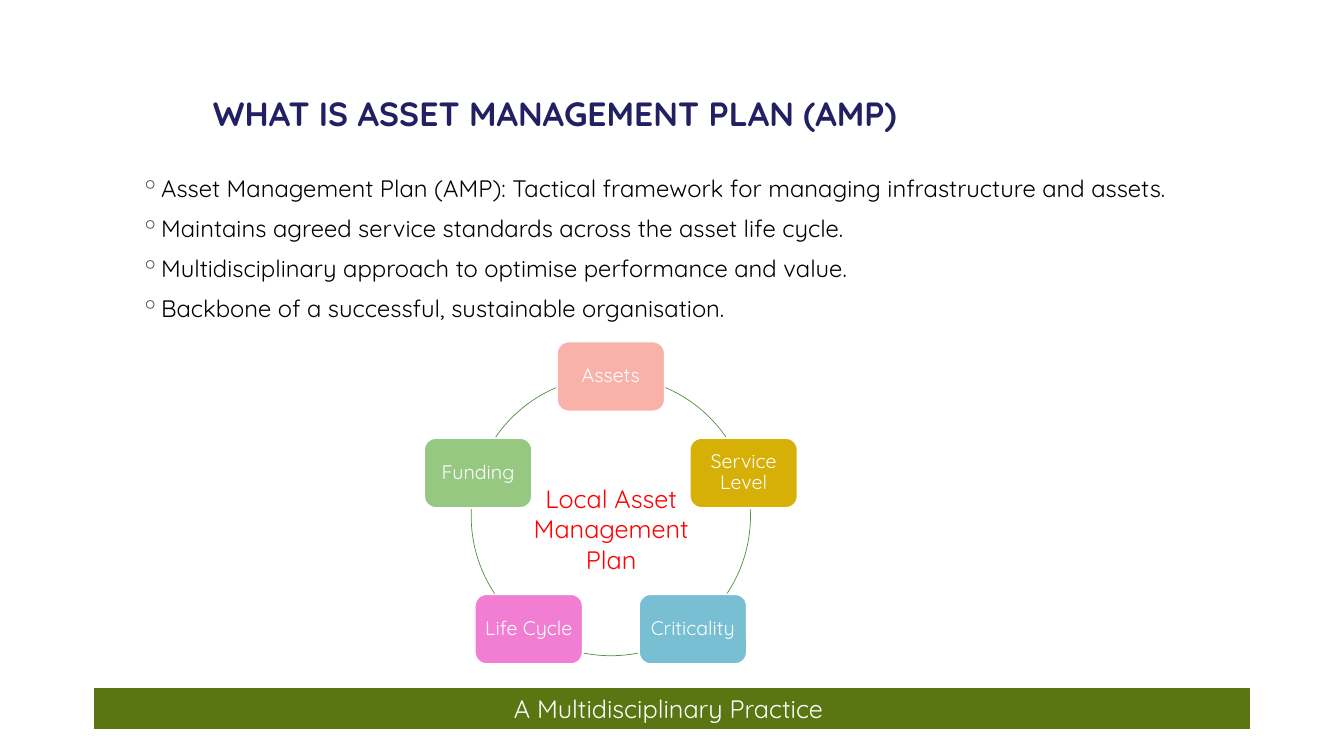
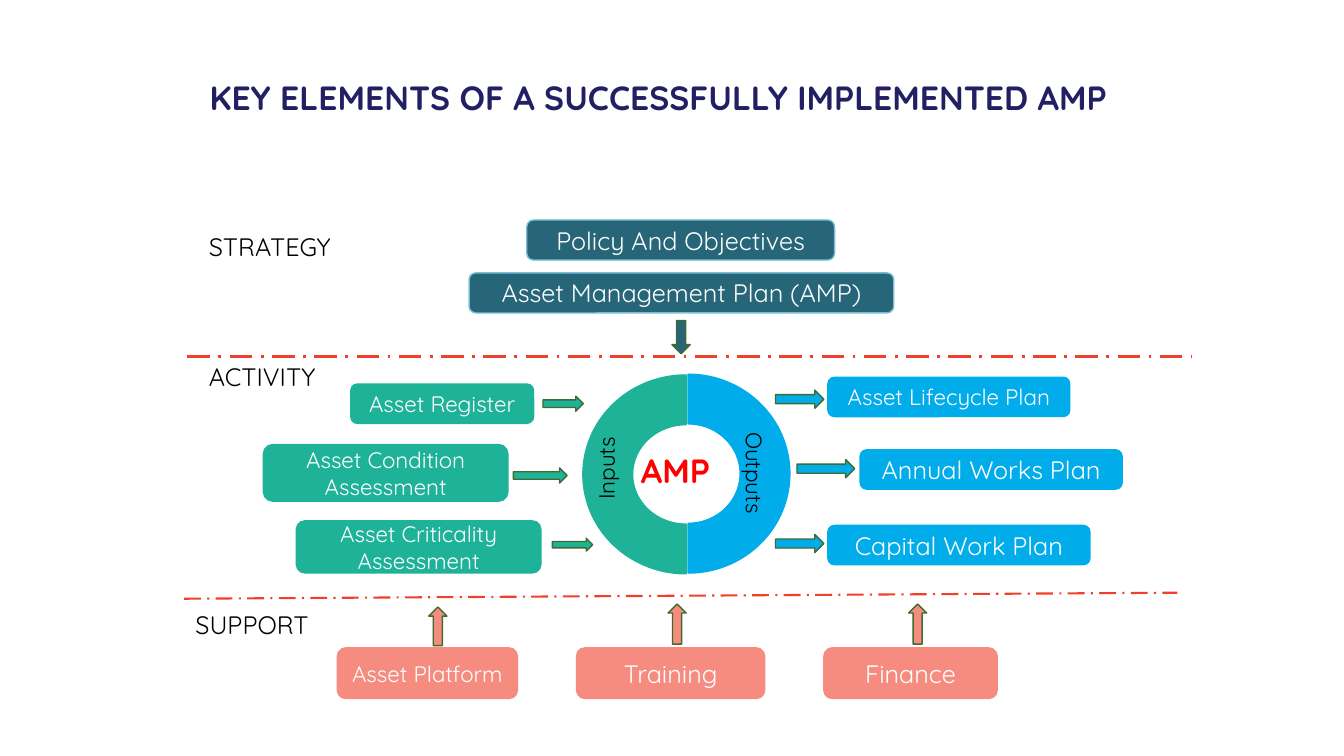
"""Build two slides about asset management plans."""
from dataclasses import dataclass
from math import cos, radians, sin
from typing import NamedTuple, Optional

from lxml.etree import SubElement
from pptx import Presentation
from pptx.dml.color import RGBColor
from pptx.enum.dml import MSO_LINE
from pptx.enum.shapes import MSO_CONNECTOR, MSO_SHAPE
from pptx.enum.text import MSO_ANCHOR, PP_ALIGN
from pptx.oxml.ns import qn
from pptx.util import Inches, Pt

WIDTH, HEIGHT = Inches(13.33), Inches(7.5)
FONT = "Quicksand"
NAVY, BLACK, WHITE, RED = "221F63", "000000", "FFFFFF", "FF0000"
OLIVE, RING_GREEN, ARROW_EDGE = "597613", "57903F", "406B2F"
PETROL, SKY, TEAL, BLUE, SALMON = "276678", "78BFD3", "1EB299", "00ADEA", "F68C80"
DIVIDER_RED, BULLET_GREY = "F03F2B", "262626"


class Box(NamedTuple):
    """A place and size in percent of the slide."""

    left: float
    top: float
    width: float
    height: float


@dataclass(frozen=True)
class TextStyle:
    """How a text looks and sits in its frame."""

    size: float = 18
    color: str = BLACK
    bold: bool = False
    align: PP_ALIGN = PP_ALIGN.LEFT
    anchor: MSO_ANCHOR = MSO_ANCHOR.TOP
    line_spacing: float = 1.0
    space_before: float = 0
    bullet: str = ""
    margin: Optional[float] = None


@dataclass(frozen=True)
class Label:
    """A text with its place."""

    text: str
    box: Box
    style: TextStyle = TextStyle()
    rotation: float = 0


@dataclass(frozen=True)
class Card:
    """A rounded box with text."""

    text: str
    box: Box
    fill: str
    size: float = 18
    edge: str = ""


@dataclass(frozen=True)
class Arrow:
    """A block arrow."""

    kind: MSO_SHAPE
    box: Box
    fill: str


@dataclass(frozen=True)
class Divider:
    """A dashed line between two points."""

    start: tuple[float, float]
    end: tuple[float, float]
    weight: float


TITLE = TextStyle(24, NAVY, True, anchor=MSO_ANCHOR.MIDDLE, line_spacing=0.9)
BULLETS = TextStyle(17, space_before=8.25, bullet="◦")
BAND = TextStyle(color=WHITE, align=PP_ALIGN.CENTER)
NODE = TextStyle(14, WHITE, align=PP_ALIGN.CENTER, anchor=MSO_ANCHOR.MIDDLE,
                 line_spacing=0.9, margin=0.06)

BULLET_TEXT = "\n".join((
    "Asset Management Plan (AMP): Tactical framework for managing infrastructure and assets.",
    "Maintains agreed service standards across the asset life cycle.",
    "Multidisciplinary approach to optimise performance and value.",
    "Backbone of a successful, sustainable organisation.",
))
RING_CENTER = (45.45, 68.27)
RING_RADIUS = (10.39, 18.47)
NODE_SIZE = (8, 9.2)
RING_NODES = (("Assets", "F9B2AA"), ("Service Level", "D6AF07"), ("Criticality", SKY),
              ("Life Cycle", "F27ED4"), ("Funding", "96C881"))
RING_ARCS = ((22.9, 55.6), (87.1, 123.8), (168.8, 191.2), (236.2, 272.9), (304.4, 337.1))

DIVIDERS = (Divider((13.95, 47.2), (88.65, 47.2), 2),
            Divider((13.7, 79.2), (87.6, 78.4), 1.5))
SECTIONS = (("STRATEGY", 14.8, 30), ("ACTIVITY", 14.8, 47.2), ("SUPPORT", 13.8, 79.9))
CARDS = (
    Card("Policy And Objectives", Box(39.2, 29.1, 22.9, 5.3), PETROL, edge=SKY),
    Card("Asset Management Plan (AMP)", Box(34.9, 36.1, 31.6, 5.3), PETROL, edge=SKY),
    Card("Asset Register", Box(26.1, 50.8, 13.6, 5.2), TEAL, 16),
    Card("Asset Condition Assessment", Box(19.6, 58.8, 18.2, 7.5), TEAL, 16),
    Card("Asset Criticality\nAssessment", Box(22.05, 68.9, 18.2, 6.9), TEAL, 16),
    Card("Asset Lifecycle Plan", Box(61.6, 49.9, 18, 5.2), BLUE, 16),
    Card("Annual Works Plan", Box(64, 59.5, 19.5, 5.2), BLUE),
    Card("Capital Work Plan", Box(61.6, 69.5, 19.5, 5.2), BLUE),
    Card("Asset Platform", Box(25.1, 85.7, 13.4, 6.7), SALMON, 16),
    Card("Training", Box(42.9, 85.7, 14, 6.7), SALMON),
    Card("Finance", Box(61.3, 85.7, 12.9, 6.7), SALMON),
)
ARROWS = (
    Arrow(MSO_SHAPE.DOWN_ARROW, Box(50, 42.4, 1.35, 4.4), PETROL),
    Arrow(MSO_SHAPE.RIGHT_ARROW, Box(40.4, 52.4, 3, 2), TEAL),
    Arrow(MSO_SHAPE.RIGHT_ARROW, Box(38.2, 61.9, 4, 2), TEAL),
    Arrow(MSO_SHAPE.RIGHT_ARROW, Box(41.1, 71.2, 3, 1.7), TEAL),
    Arrow(MSO_SHAPE.RIGHT_ARROW, Box(57.7, 51.6, 3.6, 2.4), BLUE),
    Arrow(MSO_SHAPE.RIGHT_ARROW, Box(59.3, 60.8, 4.3, 2.4), BLUE),
    Arrow(MSO_SHAPE.RIGHT_ARROW, Box(57.7, 70.7, 3.6, 2.4), BLUE),
    Arrow(MSO_SHAPE.UP_ARROW, Box(31.9, 80.3, 1.35, 5.1), SALMON),
    Arrow(MSO_SHAPE.UP_ARROW, Box(49.7, 79.9, 1.35, 5.3), SALMON),
    Arrow(MSO_SHAPE.UP_ARROW, Box(67.6, 79.9, 1.35, 5.3), SALMON),
)
HALF_RINGS = ((Box(43.65, 49.1, 14.8, 27.3), 270, TEAL),
              (Box(43.8, 49.2, 14.8, 26.9), 90, BLUE))
RING_LABELS = (
    Label("Inputs", Box(41.9, 59.3, 6.4, 4.9), TextStyle(16), 270),
    Label("Outputs", Box(51.7, 61.3, 8.9, 4.9), TextStyle(16), 90),
    Label("AMP", Box(46.95, 58.8, 7.6, 6.7), TextStyle(24, RED, True)),
)


def rgb(value: str) -> RGBColor:
    """Turn a hex string into a colour."""
    return RGBColor.from_string(value)


def across(share: float) -> int:
    """Turn a percentage of the slide's width into a length."""
    return round(WIDTH * share / 100)


def down(share: float) -> int:
    """Turn a percentage of the slide's height into a length."""
    return round(HEIGHT * share / 100)


def place(box: Box) -> tuple[int, int, int, int]:
    """Turn a box into lengths."""
    return across(box.left), down(box.top), across(box.width), down(box.height)


def add_bullet(paragraph, character: str) -> None:
    """Give a paragraph a hanging bullet."""
    properties = paragraph._p.get_or_add_pPr()
    properties.set("marL", str(Inches(0.2)))
    properties.set("indent", str(-Inches(0.2)))
    color = SubElement(properties, qn("a:buClr"))
    SubElement(color, qn("a:srgbClr")).set("val", BULLET_GREY)
    SubElement(properties, qn("a:buChar")).set("char", character)


def write_text(shape, text: str, style: TextStyle) -> None:
    """Write each line of the text as a styled paragraph."""
    frame = shape.text_frame
    frame.word_wrap = True
    frame.vertical_anchor = style.anchor
    if style.margin is not None:
        frame.margin_left = frame.margin_right = Inches(style.margin)
        frame.margin_top = frame.margin_bottom = Inches(style.margin)
    for index, line in enumerate(text.split("\n")):
        paragraph = frame.add_paragraph() if index else frame.paragraphs[0]
        paragraph.alignment = style.align
        paragraph.line_spacing = style.line_spacing
        paragraph.space_before = Pt(style.space_before)
        if style.bullet:
            add_bullet(paragraph, style.bullet)
        run = paragraph.add_run()
        run.text = line
        run.font.name = FONT
        run.font.size = Pt(style.size)
        run.font.bold = style.bold
        run.font.color.rgb = rgb(style.color)


def add_label(slide, label: Label) -> None:
    """Add a text box."""
    shape = slide.shapes.add_textbox(*place(label.box))
    shape.rotation = label.rotation
    write_text(shape, label.text, label.style)


def add_figure(slide, kind: MSO_SHAPE, box: Box, fill: str, edge: str, weight: float = 1):
    """Add a preset shape; an empty fill leaves it open."""
    shape = slide.shapes.add_shape(kind, *place(box))
    shape.shadow.inherit = False
    if fill:
        shape.fill.solid()
        shape.fill.fore_color.rgb = rgb(fill)
    else:
        shape.fill.background()
    shape.line.color.rgb = rgb(edge)
    shape.line.width = Pt(weight)
    return shape


def add_card(slide, card: Card) -> None:
    """Add a rounded box with centred white text."""
    shape = add_figure(slide, MSO_SHAPE.ROUNDED_RECTANGLE, card.box, card.fill,
                       card.edge or card.fill)
    write_text(shape, card.text, TextStyle(card.size, WHITE, align=PP_ALIGN.CENTER,
                                           anchor=MSO_ANCHOR.MIDDLE))


def add_divider(slide, divider: Divider) -> None:
    """Add a dash-dot line."""
    (left, top), (right, bottom) = divider.start, divider.end
    line = slide.shapes.add_connector(MSO_CONNECTOR.STRAIGHT, across(left), down(top),
                                      across(right), down(bottom))
    line.line.color.rgb = rgb(DIVIDER_RED)
    line.line.width = Pt(divider.weight)
    line.line.dash_style = MSO_LINE.LONG_DASH_DOT
    SubElement(line._element.spPr, qn("a:effectLst"))


def add_ring(slide) -> None:
    """Add the nodes evenly round a circle, with arcs between them."""
    (center_x, center_y), (radius_x, radius_y) = RING_CENTER, RING_RADIUS
    circle = Box(center_x - radius_x, center_y - radius_y, 2 * radius_x, 2 * radius_y)
    for angles in RING_ARCS:
        arc = add_figure(slide, MSO_SHAPE.ARC, circle, "", RING_GREEN, 0.5)
        for index, angle in enumerate(angles):
            arc.adjustments[index] = (angle - 90) % 360 * 0.6
    width, height = NODE_SIZE
    for index, (text, fill) in enumerate(RING_NODES):
        angle = radians(360 / len(RING_NODES) * index)
        box = Box(center_x + radius_x * sin(angle) - width / 2,
                  center_y - radius_y * cos(angle) - height / 2, width, height)
        node = add_figure(slide, MSO_SHAPE.ROUNDED_RECTANGLE, box, fill, WHITE)
        write_text(node, text, NODE)


def build_definition(slide) -> None:
    """Build the slide that defines the plan."""
    add_label(slide, Label("WHAT IS ASSET MANAGEMENT PLAN (AMP)", Box(15.1, 5.3, 82.5, 20), TITLE))
    add_label(slide, Label(BULLET_TEXT, Box(9.75, 22.3, 82.5, 22.9), BULLETS))
    add_ring(slide)
    add_label(slide, Label("Local Asset Management Plan", Box(38.2, 63.3, 14.55, 13.5),
                           TextStyle(color=RED, align=PP_ALIGN.CENTER)))
    band = add_figure(slide, MSO_SHAPE.RECTANGLE, Box(7, 91.1, 86, 5.3), OLIVE, OLIVE, 0.75)
    write_text(band, "A Multidisciplinary Practice ", BAND)


def build_elements(slide) -> None:
    """Build the slide with the key elements."""
    add_label(slide, Label("KEY ELEMENTS OF A SUCCESSFULLY IMPLEMENTED AMP",
                           Box(14.85, 6.5, 82.5, 13.3), TITLE))
    for divider in DIVIDERS:
        add_divider(slide, divider)
    for text, left, top in SECTIONS:
        add_label(slide, Label(text, Box(left, top, 12.3, 5.3)))
    for card in CARDS:
        add_card(slide, card)
    for arrow in ARROWS:
        add_figure(slide, arrow.kind, arrow.box, arrow.fill, ARROW_EDGE)
    for box, rotation, color in HALF_RINGS:
        add_figure(slide, MSO_SHAPE.BLOCK_ARC, box, color, color).rotation = rotation
    for label in RING_LABELS:
        add_label(slide, label)


def main() -> None:
    """Build and save the presentation."""
    presentation = Presentation()
    presentation.slide_width, presentation.slide_height = WIDTH, HEIGHT
    for build in (build_definition, build_elements):
        build(presentation.slides.add_slide(presentation.slide_layouts[6]))
    presentation.save("out.pptx")


if __name__ == "__main__":
    main()
